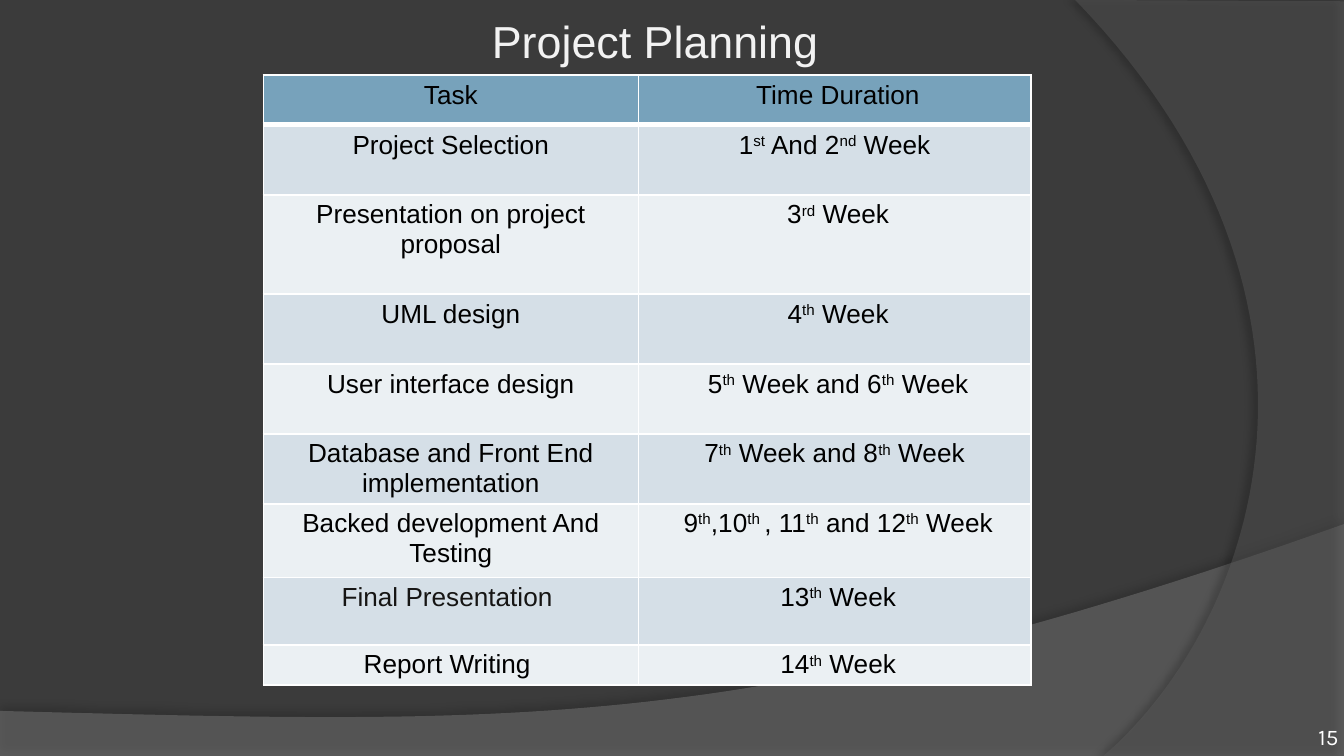
from lxml.etree import SubElement
from pptx import Presentation
from pptx.dml.color import RGBColor
from pptx.enum.text import MSO_ANCHOR as Anchor, MSO_AUTO_SIZE as AutoSize, PP_ALIGN as Align
from pptx.oxml import parse_xml
from pptx.oxml.ns import nsdecls, qn
from pptx.util import Inches, Pt

BACKGROUND = RGBColor(0x3B, 0x3B, 0x3B)
SWOOSH = RGBColor(0x7F, 0x7F, 0x7F)
ARC = RGBColor(0x5E, 0x5E, 0x5E)
TITLE = RGBColor(0xF2, 0xF2, 0xF2)
HEADER = RGBColor(0x77, 0xA2, 0xBB)
BANDS = (RGBColor(0xEB, 0xF0, 0xF3), RGBColor(0xD5, 0xDF, 0xE7))
WHITE = RGBColor(0xFF, 0xFF, 0xFF)
BLACK = RGBColor(0, 0, 0)
SOFT_BLACK = RGBColor(0x16, 0x15, 0x14)

WIDTH = 10
HEIGHT = WIDTH * 9 / 16
COLUMNS = (2.79, 2.92)
SCHEDULE = [
    (0.37, "Task", " Time Duration"),
    (0.52, "Project Selection", " 1^st^ And 2^nd^ Week "),
    (0.74, "Presentation on project proposal", " 3^rd^ Week"),
    (0.52, "UML design", " 4^th^ Week"),
    (0.52, "User interface design", " 5^th^ Week and 6^th^ Week"),
    (0.52, "Database and Front End implementation", "7^th^ Week and 8^th^ Week"),
    (0.55, "Backed development And Testing", " 9^th^,10^th ^, 11^th^ and 12^th^ Week"),
    (0.50, "Final Presentation ", " 13^th^ Week"),
    (0.30, "Report Writing ", " 14^th^ Week"),
]


def bezier(start, first, second, end, steps=60):
    """Return points along a cubic curve, both ends included."""
    points = []
    for step in range(steps + 1):
        t = step / steps
        weights = ((1 - t) ** 3, 3 * t * (1 - t) ** 2, 3 * t * t * (1 - t), t ** 3)
        points.append(tuple(
            sum(weight * value for weight, value in zip(weights, axis))
            for axis in zip(start, first, second, end)
        ))
    return points


class SlideBuilder:
    """Draw styled elements on one slide."""

    def __init__(self, page, font="Arial"):
        self.page = page
        self.font = font
        page.background.fill.solid()
        page.background.fill.fore_color.rgb = BACKGROUND

    def style(self, span, size, color, font=None):
        span.font.name = font or self.font
        span.font.size = Pt(size)
        span.font.color.rgb = color

    def frame(self, shape, area, anchor):
        shape.left, shape.top, shape.width, shape.height = map(Inches, area)
        frame = shape.text_frame
        frame.margin_left = frame.margin_top = frame.margin_right = frame.margin_bottom = 0
        frame.auto_size = AutoSize.NONE
        frame.word_wrap = True
        frame.vertical_anchor = anchor
        return frame

    def title(self, text, area):
        frame = self.frame(self.page.shapes.title, area, Anchor.TOP)
        frame.text = text
        para = frame.paragraphs[0]
        para.alignment = Align.LEFT
        para.line_spacing = 0.8
        self.style(para.runs[0], 24, TITLE)

    def page_number(self, text, area):
        box = self.page.shapes.add_textbox(*map(Inches, area))
        frame = self.frame(box, area, Anchor.BOTTOM)
        frame.text = text
        para = frame.paragraphs[0]
        para.alignment = Align.RIGHT
        self.style(para.runs[0], 12, WHITE, "Karla")

    def backdrop(self, points, color, opacity, shadow, distance, angle):
        corners = [(Inches(x), Inches(y)) for x, y in points]
        builder = self.page.shapes.build_freeform(*corners[0])
        builder.add_line_segments(corners[1:], close=True)
        shape = builder.convert_to_shape()
        shape.fill.solid()
        shape.fill.fore_color.rgb = color
        shape.line.fill.background()
        tint = shape.fill._xPr.find(qn("a:solidFill"))[0]
        SubElement(tint, qn("a:alpha")).set("val", str(opacity * 1000))
        shape._element.spPr.append(parse_xml(
            f'<a:effectLst {nsdecls("a")}><a:outerShdw blurRad="{Pt(4)}" dist="{Pt(distance)}" '
            f'dir="{angle * 60000}" algn="ctr" rotWithShape="0"><a:srgbClr val="000000">'
            f'<a:alpha val="{shadow * 1000}"/></a:srgbClr></a:outerShdw></a:effectLst>'
        ))

    def cell(self, cell, text, fill, color, top, bottom):
        cell.margin_left = cell.margin_right = Inches(0.09)
        cell.margin_top = cell.margin_bottom = Inches(0.04)
        para = cell.text_frame.paragraphs[0]
        para.alignment = Align.CENTER
        for index, part in enumerate(text.split("^")):
            span = para.add_run()
            span.text = part
            self.style(span, 14, color)
            if index % 2:
                span.font._element.set("baseline", "30000")
        cell.fill.solid()
        cell.fill.fore_color.rgb = fill
        properties = cell._tc.get_or_add_tcPr()
        for index, (side, width) in enumerate(zip("LRTB", (1, 1, top, bottom))):
            properties.insert(index, parse_xml(
                f'<a:ln{side} {nsdecls("a")} w="{Pt(width)}"><a:solidFill>'
                f'<a:srgbClr val="{WHITE}"/></a:solidFill></a:ln{side}>'
            ))

    def table(self, rows, columns, left, top):
        height = sum(row[0] for row in rows)
        area = map(Inches, (left, top, sum(columns), height))
        table = self.page.shapes.add_table(len(rows), len(columns), *area).table
        table.first_row = table.horz_banding = False
        for column, width in zip(table.columns, columns):
            column.width = Inches(width)
        for index, (height, *texts) in enumerate(rows):
            table.rows[index].height = Inches(height)
            fill = BANDS[index % 2] if index else HEADER
            edges = (3 if index == 1 else 1, 1 if index else 3)
            for cell, text in zip(table.rows[index].cells, texts):
                color = SOFT_BLACK if text.startswith("Final") else BLACK
                self.cell(cell, text, fill, color, *edges)


def main():
    deck = Presentation()
    deck.slide_width, deck.slide_height = Inches(WIDTH), Inches(HEIGHT)
    slide = SlideBuilder(deck.slides.add_slide(deck.slide_layouts[5]))
    swoosh = bezier((WIDTH, 3.9), (5.59, 5.47), (3.91, 5.39), (0, 5.29))
    slide.backdrop([(0, HEIGHT), (WIDTH, HEIGHT)] + swoosh, SWOOSH, 45, 35, 3.5, 270)
    arc = bezier((8.21, HEIGHT), (9.35, 4.64), (10.18, 2.25), (8, 0))
    slide.backdrop([(WIDTH, 0.01), (WIDTH, HEIGHT)] + arc, ARC, 40, 45, 4, 180)
    slide.title("Project Planning", (3.66, 0.18, 2.82, 0.38))
    slide.page_number("15", (9.46, 5.07, 0.5, 0.51))
    slide.table(SCHEDULE, COLUMNS, 1.96, 0.56)
    deck.save("out.pptx")


if __name__ == "__main__":
    main()
